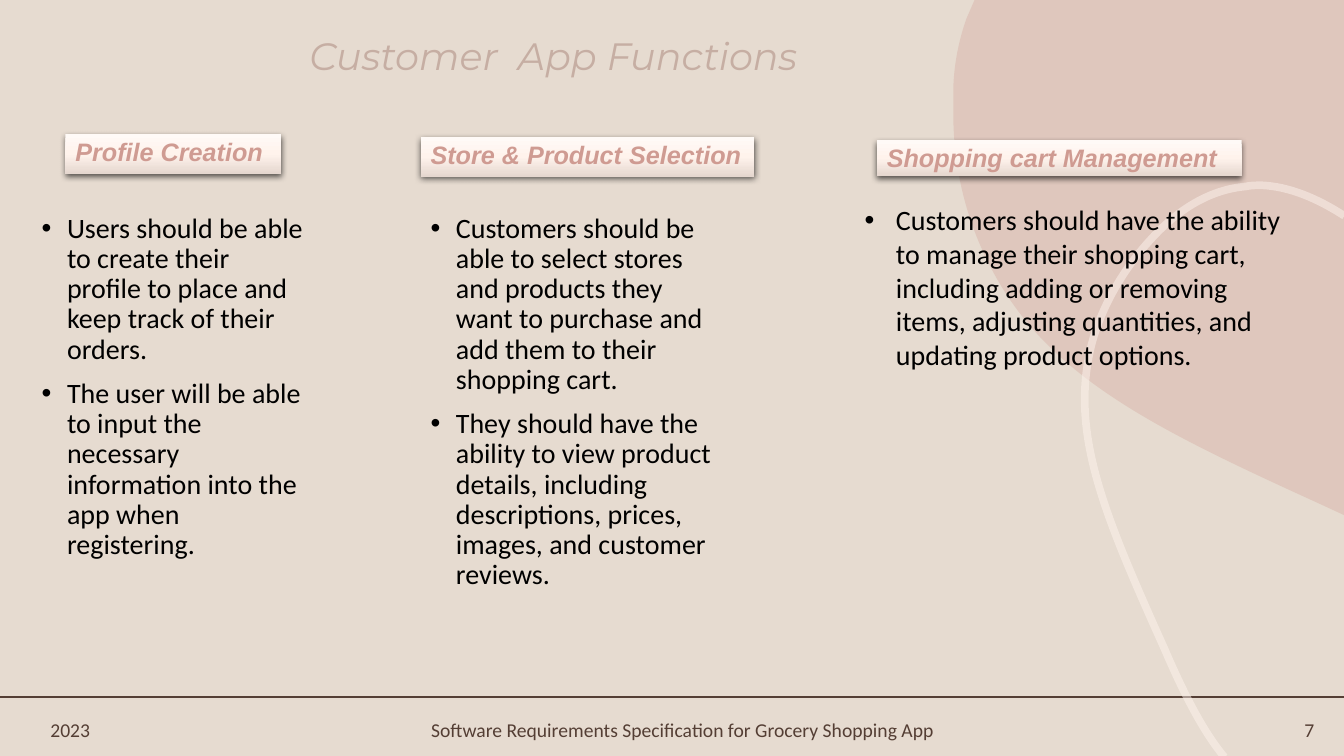
from copy import deepcopy

from lxml import etree
from pptx import Presentation
from pptx import util as u
from pptx.dml.color import RGBColor
from pptx.enum import shapes, text
from pptx.oxml import ns

SAND = RGBColor(0xE6, 0xDB, 0xD0)
BROWN = RGBColor(0x54, 0x3E, 0x34)
ROSE = RGBColor(0xCF, 0x9B, 0x92)
CREAM = RGBColor(0xFE, 0xF3, 0xED)
TAUPE = RGBColor(0xC6, 0xAE, 0xA3)
BLACK = RGBColor(0, 0, 0)
LABEL_STOPS = [(0, RGBColor(0xFF, 0xFA, 0xF7)), (0.5, RGBColor(0xFF, 0xF3, 0xEC)),
               (1, RGBColor(0xE5, 0xD7, 0xCF))]
LEFT, CENTER, RIGHT = text.PP_ALIGN.LEFT, text.PP_ALIGN.CENTER, text.PP_ALIGN.RIGHT

deck = Presentation()
deck.slide_width, deck.slide_height = u.Cm(33.87), u.Cm(19.05)
page = deck.slides.add_slide(deck.slide_layouts[6])
page.background.fill.solid()
page.background.fill.fore_color.rgb = SAND


def trace(start, segments, close):
    """Draw an outline; a segment is one corner or the three points of a Bezier curve."""
    corners = [(u.Cm(x), u.Cm(y)) for segment in segments for x, y in segment]
    builder = page.shapes.build_freeform(u.Cm(start[0]), u.Cm(start[1]), scale=1.0)
    builder.add_line_segments(corners, close=close)
    outline = builder.convert_to_shape()
    outline.shadow.inherit = False
    sides = iter(outline._element.spPr.findall(".//" + ns.qn("a:lnTo")))
    for segment in segments:
        group = [next(sides) for _ in segment]
        if len(group) == 3:
            curve = etree.Element(ns.qn("a:cubicBezTo"))
            group[0].addprevious(curve)
            for side in group:
                curve.append(side[0])
                side.getparent().remove(side)
    return outline


def write(box, lines, size, name, color, align=LEFT, spacing=1.0, italic=False, bold=False,
          indent=0, middle=False):
    """Fill a box with paragraphs, bulleted when an indent is given."""
    frame = box.text_frame
    frame.word_wrap = True
    frame.vertical_anchor = text.MSO_ANCHOR.MIDDLE if middle else text.MSO_ANCHOR.TOP
    frame.text = "\n".join(lines)
    for para in frame.paragraphs:
        para.alignment, para.line_spacing = align, spacing
        para.space_before = u.Pt(10 if indent else 0)
        font = para.font
        font.size, font.name, font.color.rgb = u.Pt(size), name, color
        font.italic, font.bold = italic, bold
        if indent:
            properties = para._p.get_or_add_pPr()
            properties.set("marL", str(u.Cm(indent)))
            properties.set("indent", str(-u.Cm(indent)))
            defaults = properties.find(ns.qn("a:defRPr"))
            defaults.addprevious(etree.Element(ns.qn("a:buFont"), typeface="Arial"))
            defaults.addprevious(etree.Element(ns.qn("a:buChar"), char="•"))


# Footer rule
rule = page.shapes.add_connector(shapes.MSO_CONNECTOR.STRAIGHT,
                                 0, u.Cm(17.57), u.Cm(33.87), u.Cm(17.57))
rule.line.color.rgb, rule.line.width = BROWN, u.Pt(1.25)
etree.SubElement(rule._element.spPr, ns.qn("a:effectLst"))

# Rose blob and cream ribbon
blob = trace((24.56, 0), [
    [(33.87, 0)], [(33.87, 12.98)], [(33.2, 12.67)],
    [(28.85, 10.69), (26.21, 9.37), (24.84, 6.48)],
    [(24.08, 4.9), (24, 3.43), (24.03, 2.57)],
    [(24, 2.01), (24.08, 1.24), (24.36, 0.46)]], close=True)
blob.fill.solid()
blob.fill.fore_color.rgb = ROSE
blob.line.fill.background()

ribbon = trace((30.86, 19.08), [
    [(30.43, 18.57), (29.95, 17.75), (29.36, 16.38)],
    [(27.79, 12.88), (26.87, 10.77), (27.58, 8.43)],
    [(27.97, 7.24), (28.63, 6.43), (29.06, 5.97)],
    [(29.49, 5.51), (30.28, 4.8), (31.39, 4.7)],
    [(31.52, 4.67), (31.65, 4.67), (31.8, 4.67)],
    [(32.49, 4.7), (33.2, 5), (33.88, 5.44)]], close=False)
ribbon.fill.background()
ribbon.line.color.rgb, ribbon.line.width = CREAM, u.Pt(5.5)

for outline, opacity in ((blob, 30), (ribbon, 50)):
    tint = outline._element.spPr.find(".//" + ns.qn("a:srgbClr"))
    etree.SubElement(tint, ns.qn("a:alpha"), val=str(opacity * 1000))

# Title
title = page.shapes.add_textbox(u.Cm(7.55), u.Cm(0.53), u.Cm(15.09), u.Cm(1.96))
write(title, ["Customer  App Functions"], 27.2, "Montserrat", TAUPE,
      spacing=0.8, italic=True, middle=True)

# Footer
for left, width, words, align in (
        (1.02, 2.74, "2023", LEFT),
        (9.98, 14.45, "Software Requirements Specification for Grocery Shopping App", CENTER),
        (30.63, 2.74, "7", RIGHT)):
    box = page.shapes.add_textbox(u.Cm(left), u.Cm(17.96), u.Cm(width), u.Cm(0.86))
    write(box, [words], 14, "Calibri", BROWN, align=align, middle=True)

# Bulleted columns: place, indent, line spacing, paragraphs
columns = [
    ((0.8, 5.27, 7.14, 12.29), 0.64, 0.9, [
        "Users should be able to create their profile to place and keep track of their orders.",
        "The user will be able to input the necessary information into the app when registering."]),
    ((10.6, 5.27, 7.57, 12.01), 0.64, 0.9, [
        "Customers should be able to select stores and products they want to purchase "
        "and add them to their shopping cart.",
        "They should have the ability to view product details, including descriptions, "
        "prices, images, and customer reviews."]),
    ((21.54, 4.99, 11.28, 4.52), 0.79, 1.0, [
        "Customers should have the ability to manage their shopping cart, including adding "
        "or removing items, adjusting quantities, and updating product options."]),
]
for place, indent, spacing, lines in columns:
    box = page.shapes.add_textbox(*map(u.Cm, place))
    write(box, lines, 20, "Calibri", BLACK, spacing=spacing, indent=indent)

# Column labels with a gradient and a soft shadow
labels = [
    ((22.1, 3.54, 9.19, 0.89), "Shopping cart Management"),
    ((10.6, 3.46, 8.41, 0.99), "Store & Product Selection"),
    ((1.65, 3.39, 5.44, 0.99), "Profile Creation"),
]
for place, words in labels:
    label = page.shapes.add_shape(shapes.MSO_SHAPE.RECTANGLE, *map(u.Cm, place))
    label.line.fill.background()
    label.fill.gradient()
    label.fill.gradient_angle = 270
    first = label._element.spPr.find(".//" + ns.qn("a:gs"))
    first.addnext(deepcopy(first))
    for stop, (position, color) in zip(label.fill.gradient_stops, LABEL_STOPS):
        stop.position, stop.color.rgb = position, color
    label.shadow.inherit = False
    effects = label._element.spPr.find(ns.qn("a:effectLst"))
    shadow = etree.SubElement(effects, ns.qn("a:outerShdw"), blurRad=str(u.Pt(4.5)),
                              dist=str(u.Pt(1.5)), dir="5400000", rotWithShape="0")
    shade = etree.SubElement(shadow, ns.qn("a:srgbClr"), val=str(BLACK))
    etree.SubElement(shade, ns.qn("a:alpha"), val="63000")
    write(label, [words], 18, "Arial", ROSE, spacing=0.9, italic=True, bold=True)

deck.save("out.pptx")
